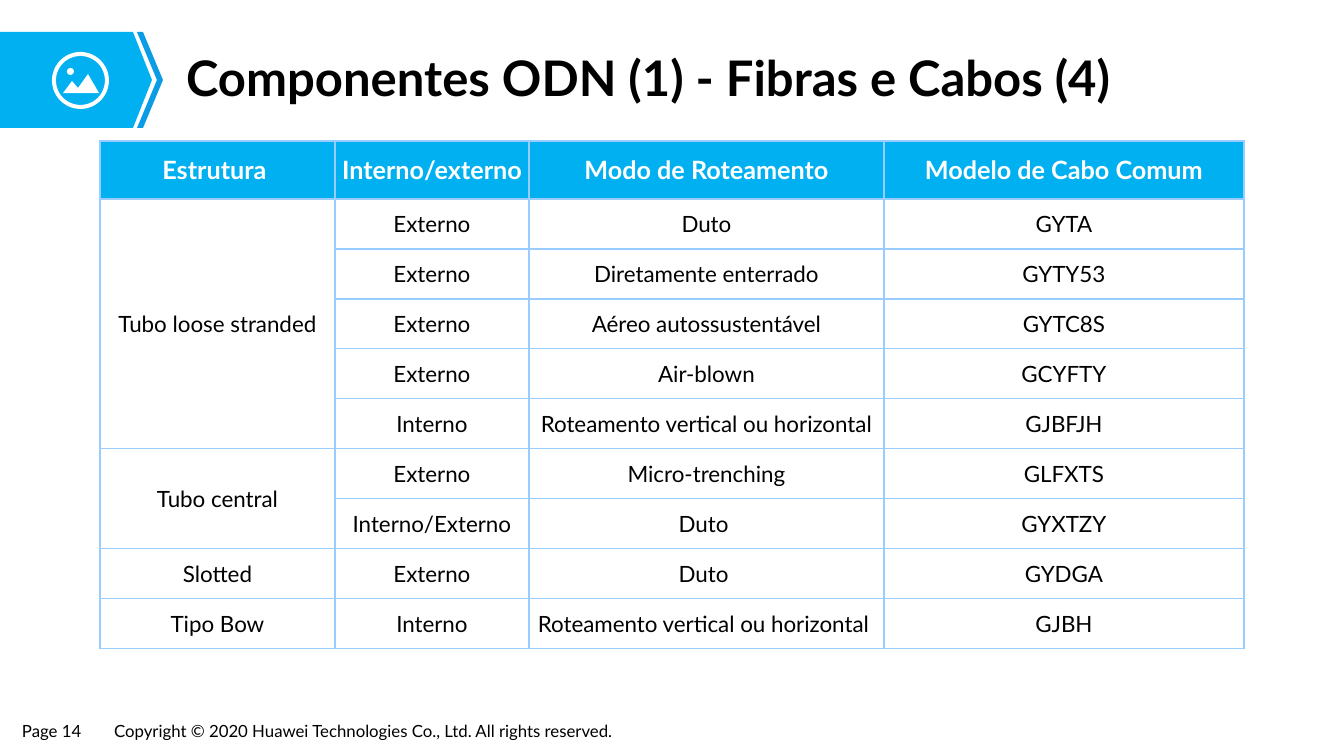
from dataclasses import dataclass
from typing import Any, NamedTuple

from lxml.etree import SubElement
from pptx import Presentation
from pptx.dml.color import RGBColor
from pptx.enum.shapes import MSO_SHAPE as Preset
from pptx.enum.text import MSO_ANCHOR as Anchor, MSO_AUTO_SIZE as AutoSize, PP_ALIGN as Align
from pptx.oxml.ns import qn
from pptx.util import Emu, Pt

EMU_PER_PX = 12192000 / 1344
COLORS = {
    "text": "000000",
    "white": "FFFFFF",
    "band": "00B0F0",
    "chevron": "0B9CE5",
    "border": "99CCFF",
}
FONT = "Lato"


class Box(NamedTuple):
    left: int
    top: int
    width: int
    height: int


@dataclass
class Outline:
    color: str
    points: list[tuple[int, int]]


@dataclass
class Footer:
    text: str
    box: Box


@dataclass
class Structure:
    name: str
    cables: list[tuple[str, str, str]]


OUTLINES = [
    Outline("band", [(133, 128), (0, 128), (0, 32), (133, 32), (152, 80)]),
    Outline("chevron", [(143, 32), (137, 32), (157, 80), (137, 128), (143, 128), (163, 80)]),
    Outline("white", [(99, 93), (63, 93), (72, 81), (78, 88), (88, 74)]),
]
ICON_RING = Box(52, 52, 57, 57)
ICON_DOT = Box(67, 68, 7, 7)
TITLE_BOX = Box(175, 45, 1084, 71)
FOOTERS = [
    Footer("Page 14", Box(13, 717, 82, 29)),
    Footer("Copyright © 2020 Huawei Technologies Co., Ltd. All rights reserved.",
           Box(105, 717, 545, 29)),
]
TABLE_LEFT, TABLE_TOP = 100, 141
COLUMN_WIDTHS = [235, 194, 355, 360]
HEADER_HEIGHT, ROW_HEIGHT = 58, 50
HANGING_INDENT = 38
HEADERS = ["Estrutura ", "Interno/externo", "Modo de Roteamento", "Modelo de Cabo Comum"]
STRUCTURES = [
    Structure("Tubo loose stranded", [
        ("Externo", "Duto", "GYTA"),
        ("Externo", "Diretamente enterrado", "GYTY53"),
        ("Externo", "Aéreo autossustentável", "GYTC8S"),
        ("Externo", "Air-blown", "GCYFTY"),
        ("Interno", "Roteamento vertical ou horizontal", "GJBFJH"),
    ]),
    Structure("Tubo central", [
        ("Externo", "Micro-trenching", "GLFXTS"),
        ("Interno/Externo", "Duto ", "GYXTZY"),
    ]),
    Structure("Slotted", [("Externo", "Duto ", "GYDGA")]),
    Structure("Tipo Bow", [("Interno", "Roteamento vertical ou horizontal ", "GJBH")]),
]


def px(length: float) -> Emu:
    return Emu(round(length * EMU_PER_PX))


def place(box: Box) -> list[Emu]:
    return [px(length) for length in box]


def apply(target: Any, values: dict[str, Any]) -> None:
    """Set each named attribute of the target."""
    for name, value in values.items():
        setattr(target, name, value)


def format_font(paragraph: Any, size: int, color: str = "text", bold: bool = False) -> None:
    for run in paragraph.runs:
        apply(run.font, {"name": FONT, "size": Pt(size), "bold": bold})
        run.font.color.rgb = RGBColor.from_string(COLORS[color])


def paint(shape: Any, color: str) -> None:
    shape.shadow.inherit = False
    shape.fill.solid()
    shape.fill.fore_color.rgb = RGBColor.from_string(COLORS[color])
    shape.line.fill.background()


def draw_outline(slide: Any, outline: Outline) -> None:
    start, *others = outline.points
    builder = slide.shapes.build_freeform(*start, scale=EMU_PER_PX)
    builder.add_line_segments(others, close=True)
    paint(builder.convert_to_shape(), outline.color)


def draw_banner(slide: Any) -> None:
    for outline in OUTLINES:
        draw_outline(slide, outline)
    ring = slide.shapes.add_shape(Preset.DONUT, *place(ICON_RING))
    ring.adjustments[0] = 0.07
    dot = slide.shapes.add_shape(Preset.OVAL, *place(ICON_DOT))
    for shape in (ring, dot):
        paint(shape, "white")


def write_title(slide: Any, text: str) -> None:
    title = slide.shapes.title
    apply(title, dict(zip(Box._fields, place(TITLE_BOX))))
    frame = title.text_frame
    frame.text = text
    apply(frame, {
        "word_wrap": True, "auto_size": AutoSize.NONE, "vertical_anchor": Anchor.MIDDLE,
        "margin_left": px(11), "margin_right": px(11),
        "margin_top": px(6), "margin_bottom": px(6),
    })
    paragraph = frame.paragraphs[0]
    apply(paragraph, {"alignment": Align.LEFT, "line_spacing": 0.9})
    format_font(paragraph, 35, bold=True)


def write_footer(slide: Any, footer: Footer) -> None:
    frame = slide.shapes.add_textbox(*place(footer.box)).text_frame
    frame.text = footer.text
    apply(frame, {
        "word_wrap": False, "auto_size": AutoSize.SHAPE_TO_FIT_TEXT,
        "margin_left": px(9), "margin_right": px(9),
        "margin_top": px(4), "margin_bottom": px(4),
    })
    format_font(frame.paragraphs[0], 12)


def add_borders(cell: Any) -> None:
    properties = cell._tc.get_or_add_tcPr()
    for side in ("lnL", "lnR", "lnT", "lnB"):
        line = SubElement(properties, qn(f"a:{side}"), w=str(Pt(1)))
        fill = SubElement(line, qn("a:solidFill"))
        SubElement(fill, qn("a:srgbClr"), val=COLORS["border"])


def write_cell(cell: Any, text: str, is_header: bool) -> None:
    cell.text = text
    apply(cell, {
        "vertical_anchor": Anchor.MIDDLE,
        "margin_left": 0, "margin_right": 0, "margin_top": 0, "margin_bottom": 0,
    })
    paragraph = cell.text_frame.paragraphs[0]
    paragraph.alignment = Align.CENTER
    properties = paragraph._p.get_or_add_pPr()
    properties.set("marL", str(px(HANGING_INDENT)))
    properties.set("indent", str(-px(HANGING_INDENT)))
    add_borders(cell)
    if is_header:
        cell.fill.solid()
        cell.fill.fore_color.rgb = RGBColor.from_string(COLORS["band"])
        format_font(paragraph, 18, "white", bold=True)
    else:
        cell.fill.background()
        format_font(paragraph, 16)


def draw_table(slide: Any) -> None:
    rows = [HEADERS]
    spans = []
    for structure in STRUCTURES:
        spans.append((len(rows), len(rows) + len(structure.cables) - 1))
        for index, cable in enumerate(structure.cables):
            rows.append(["" if index else structure.name, *cable])
    heights = [HEADER_HEIGHT] + [ROW_HEIGHT] * (len(rows) - 1)
    box = Box(TABLE_LEFT, TABLE_TOP, sum(COLUMN_WIDTHS), sum(heights))
    table = slide.shapes.add_table(len(rows), len(HEADERS), *place(box)).table
    apply(table, {"first_row": False, "horz_banding": False})
    for column, width in zip(table.columns, COLUMN_WIDTHS):
        column.width = px(width)
    for row_index, (texts, height) in enumerate(zip(rows, heights)):
        table.rows[row_index].height = px(height)
        for column_index, text in enumerate(texts):
            write_cell(table.cell(row_index, column_index), text, row_index == 0)
    for first, last in spans:
        if last > first:
            table.cell(first, 0).merge(table.cell(last, 0))


def main() -> None:
    presentation = Presentation()
    apply(presentation, {"slide_width": px(1344), "slide_height": px(756)})
    slide = presentation.slides.add_slide(presentation.slide_layouts[5])
    for footer in FOOTERS:
        write_footer(slide, footer)
    draw_banner(slide)
    write_title(slide, "Componentes ODN (1) - Fibras e Cabos (4)")
    draw_table(slide)
    presentation.save("out.pptx")


if __name__ == "__main__":
    main()
